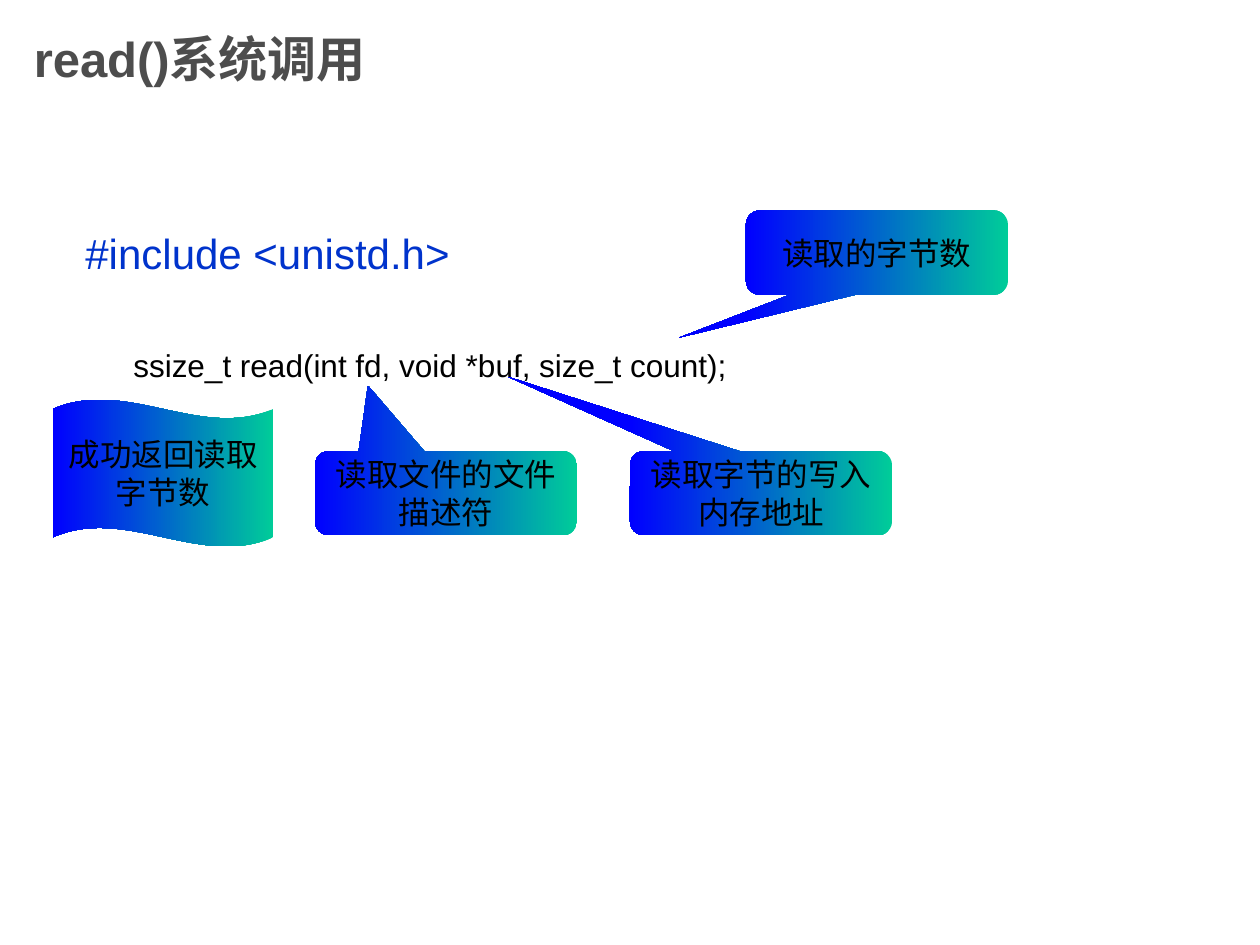
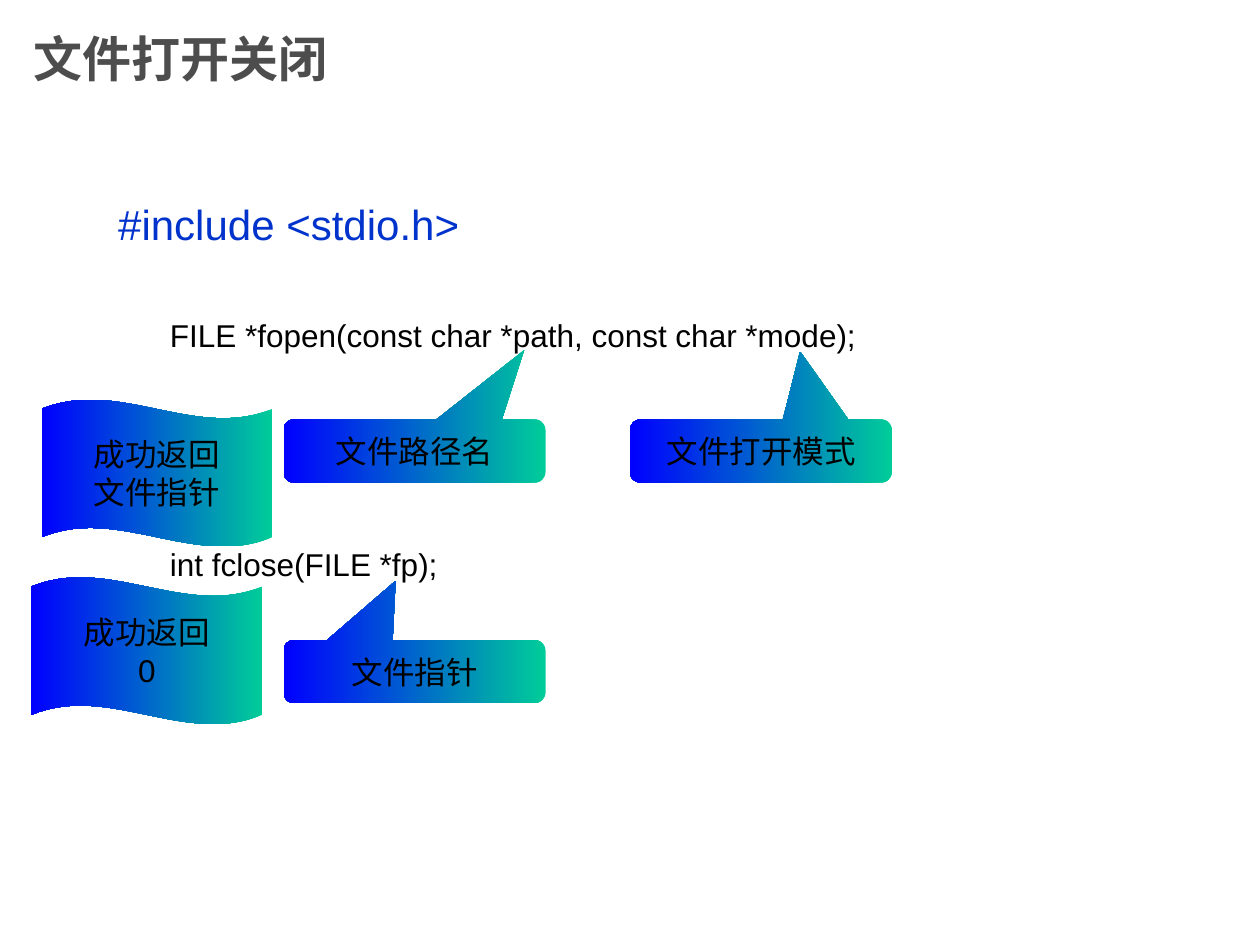
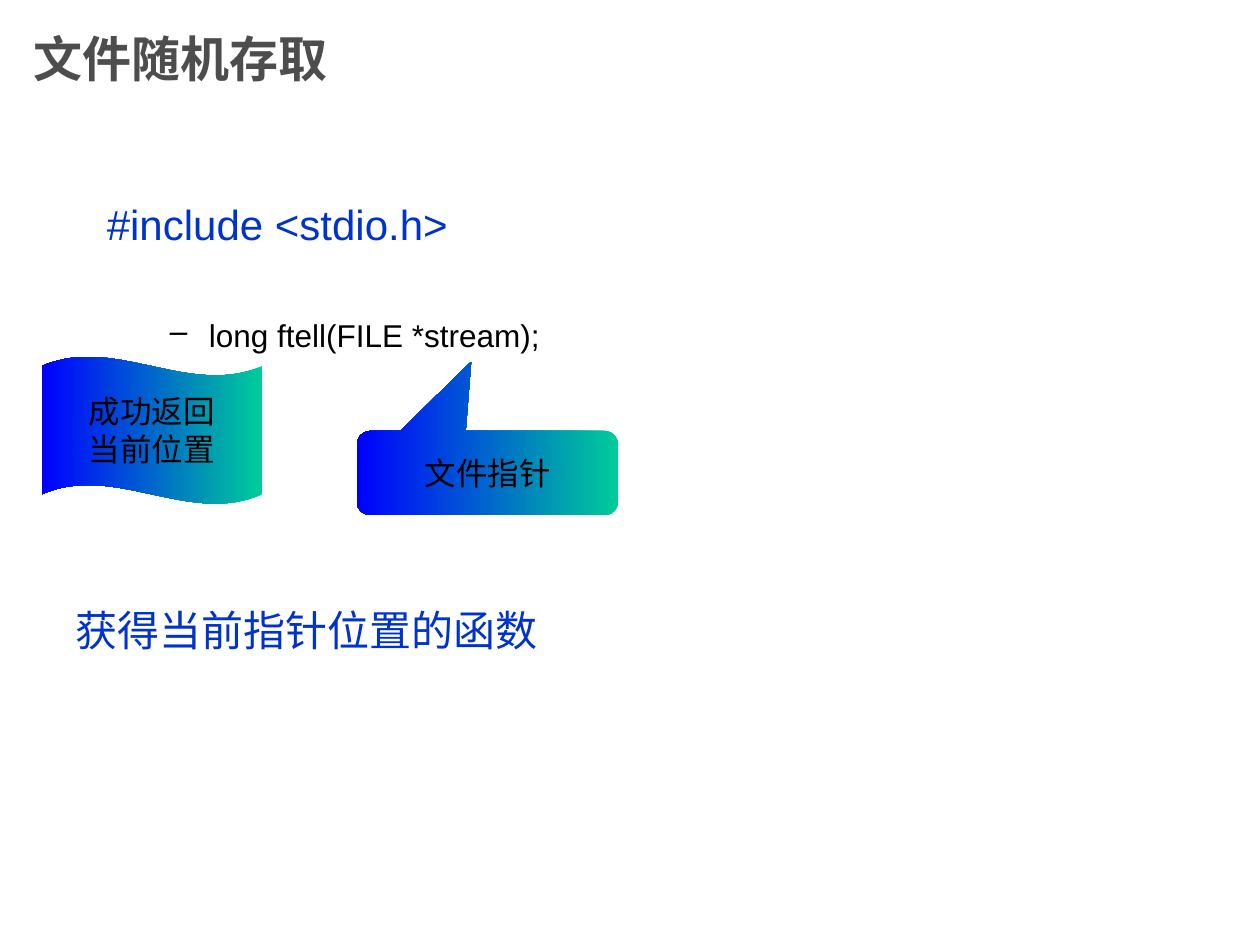
from dataclasses import dataclass

from lxml import etree
from pptx import Presentation
from pptx.dml.color import RGBColor
from pptx.enum.shapes import MSO_SHAPE
from pptx.enum.text import MSO_ANCHOR, PP_ALIGN
from pptx.oxml.ns import qn
from pptx.util import Inches, Pt

WAVE = MSO_SHAPE.WAVE
CALLOUT = MSO_SHAPE.ROUNDED_RECTANGULAR_CALLOUT
TOP, MIDDLE = MSO_ANCHOR.TOP, MSO_ANCHOR.MIDDLE
LEFT, CENTER = PP_ALIGN.LEFT, PP_ALIGN.CENTER
BLANK_LAYOUT = 6


@dataclass(frozen=True)
class Theme:
    """Colours, font and type sizes shared by all slides."""
    font: str = "Arial"
    title_color: str = "4D4D4D"
    heading_color: str = "0033CC"
    text_color: str = "000000"
    gradient_right: str = "00CC99"
    gradient_left: str = "0000FF"
    title_size: int = 28
    heading_size: int = 24
    text_size: int = 18


def write_text(shape, text, *, font, size, color, bold=False, align=LEFT,
               anchor=TOP, wrap=True):
    """Write each line of the text as a formatted paragraph."""
    frame = shape.text_frame
    frame.text = text
    frame.word_wrap = wrap
    frame.vertical_anchor = anchor
    for paragraph in frame.paragraphs:
        paragraph.alignment = align
        for run in paragraph.runs:
            run.font.name = font
            run.font.size = Pt(size)
            run.font.bold = bold
            run.font.color.rgb = RGBColor.from_string(color)


def add_dash(paragraph, indent):
    """Give the paragraph a hanging dash bullet."""
    properties = paragraph._p.get_or_add_pPr()
    properties.set("marL", str(Inches(indent)))
    properties.set("indent", str(-Inches(indent)))
    etree.SubElement(properties, qn("a:buChar")).set("char", "–")


class Deck:
    """Hold the theme, the presentation and the current slide."""

    def __init__(self, theme):
        """Start an empty presentation."""
        self.theme = theme
        self.presentation = Presentation()
        self.presentation.slide_width = Inches(10)
        self.presentation.slide_height = Inches(7.5)
        self.slide = None

    def start_slide(self, title):
        """Add a slide with its title."""
        layout = self.presentation.slide_layouts[BLANK_LAYOUT]
        self.slide = self.presentation.slides.add_slide(layout)
        self.text_box(title, 0.17, 0, 7.5, 0.92, size=self.theme.title_size,
                      color=self.theme.title_color, bold=True, anchor=MIDDLE)

    def text_box(self, text, left, top, width, height, **text_format):
        """Add a wrapping text box."""
        box = self.slide.shapes.add_textbox(
            Inches(left), Inches(top), Inches(width), Inches(height))
        write_text(box, text, font=self.theme.font, **text_format)
        return box

    def heading(self, text, left, top):
        """Add a blue heading line."""
        self.text_box(text, left, top, 8.5, 0.5, size=self.theme.heading_size,
                      color=self.theme.heading_color)

    def prototype(self, text, left, top, dash=False):
        """Add a line with a function prototype."""
        box = self.text_box(text, left, top, 8, 0.4, size=self.theme.text_size,
                            color=self.theme.text_color)
        if dash:
            add_dash(box.text_frame.paragraphs[0], 0.31)

    def gradient_shape(self, kind, text, left, top, width, height, wrap=True):
        """Add a labelled shape with the shared gradient."""
        shape = self.slide.shapes.add_shape(
            kind, Inches(left), Inches(top), Inches(width), Inches(height))
        shape.shadow.inherit = False
        shape.line.fill.background()
        shape.fill.gradient()
        shape.fill.gradient_angle = 180
        colors = self.theme.gradient_right, self.theme.gradient_left
        for stop, color in zip(shape.fill.gradient_stops, colors):
            stop.color.rgb = RGBColor.from_string(color)
        write_text(shape, text, font=self.theme.font, size=self.theme.text_size,
                   color=self.theme.text_color, align=CENTER, anchor=MIDDLE,
                   wrap=wrap)
        return shape

    def return_wave(self, text, left, top, width):
        """Add a wave that explains a return value."""
        wave = self.gradient_shape(WAVE, text, left, top, width, 1.17, wrap=False)
        wave.adjustments[0] = 0.065

    def callout(self, text, left, top, tip, height=0.67):
        """Add a callout whose tail ends at the tip."""
        width = 2.08
        callout = self.gradient_shape(CALLOUT, text, left, top, width, height)
        tip_x, tip_y = tip
        callout.adjustments[0] = (tip_x - left) / width - 0.5
        callout.adjustments[1] = (tip_y - top) / height - 0.5
        callout.adjustments[2] = 0.167


def build_read(deck):
    """Build the slide about read()."""
    deck.start_slide("read()系统调用")
    deck.heading("#include <unistd.h>", 0.58, 1.76)
    deck.prototype("ssize_t read(int fd, void *buf, size_t count);", 0.96, 2.7)
    deck.return_wave("成功返回读取\n字节数", 0.42, 3.17, 1.75)
    deck.callout("读取文件的文件描述符", 2.5, 3.58, (2.92, 3.06))
    deck.callout("读取字节的写入内存地址", 5, 3.58, (4.03, 2.99))
    deck.callout("读取的字节数", 5.92, 1.67, (5.39, 2.68))


def build_open_close(deck):
    """Build the slide about fopen() and fclose()."""
    deck.start_slide("文件打开关闭")
    deck.heading("#include <stdio.h>", 0.84, 1.53)
    deck.prototype("FILE *fopen(const char *path, const char *mode);", 1.25, 2.46)
    deck.prototype("int fclose(FILE *fp);", 1.25, 4.28)
    for text, left, top, tip in (
            ("文件路径名", 2.25, 3.33, (4.16, 2.78)),
            ("文件打开模式", 5, 3.33, (6.35, 2.79)),
            ("文件指针", 2.25, 5.08, (3.14, 4.61))):
        deck.callout(text, left, top, tip, height=0.5)
    deck.return_wave("成功返回\n0", 0.25, 4.58, 1.83)
    deck.return_wave("成功返回\n文件指针", 0.33, 3.17, 1.83)


def build_random_access(deck):
    """Build the slide about ftell()."""
    deck.start_slide("文件随机存取")
    deck.heading("#include <stdio.h>", 0.75, 1.53)
    deck.prototype("long ftell(FILE *stream);", 1.25, 2.46, dash=True)
    deck.heading("获得当前指针位置的函数", 0.5, 4.75)
    deck.return_wave("成功返回\n当前位置", 0.33, 2.83, 1.75)
    deck.callout("文件指针", 2.83, 3.42, (3.74, 2.87))


def main():
    """Build and save the presentation."""
    deck = Deck(Theme())
    build_read(deck)
    build_open_close(deck)
    build_random_access(deck)
    deck.presentation.save("out.pptx")


if __name__ == "__main__":
    main()
